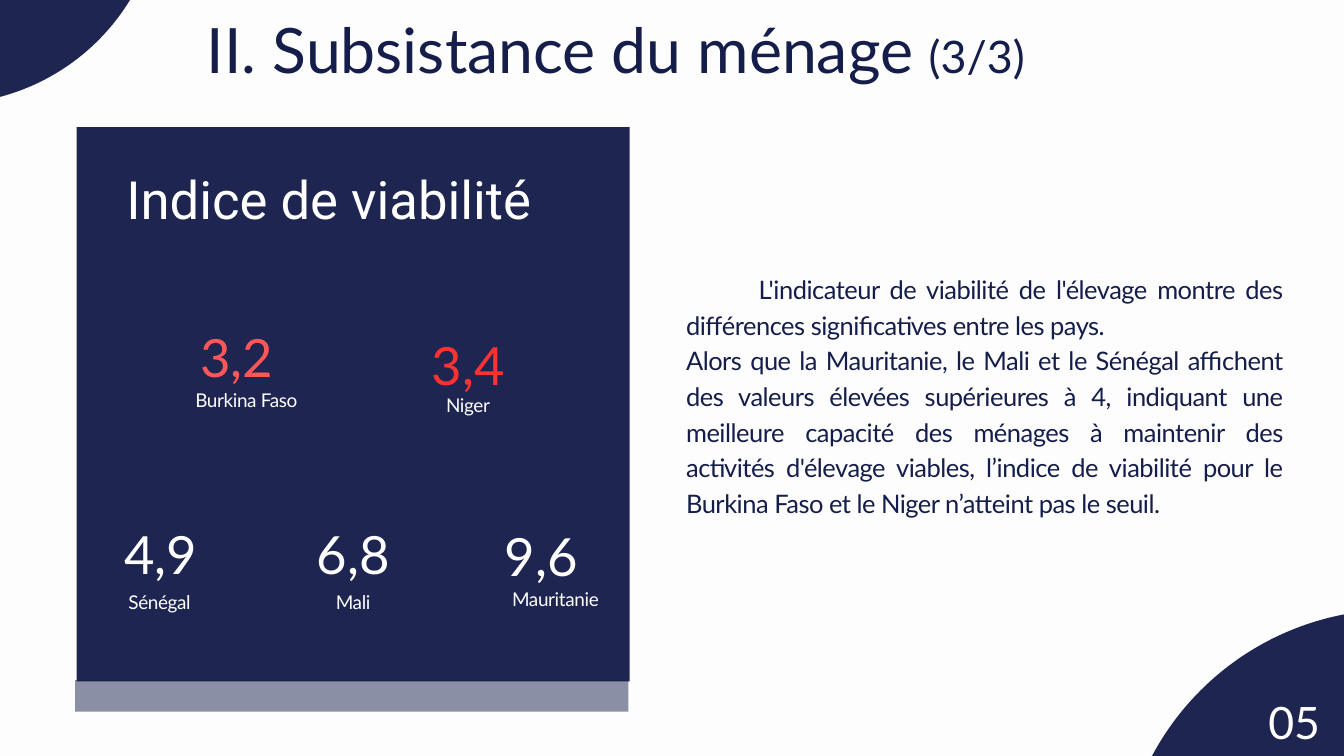
from dataclasses import dataclass

from lxml.etree import SubElement
from pptx import Presentation
from pptx.dml.color import RGBColor
from pptx.enum.shapes import MSO_SHAPE
from pptx.enum.text import MSO_ANCHOR, MSO_AUTO_SIZE, PP_ALIGN
from pptx.oxml.ns import qn
from pptx.util import Inches, Pt


@dataclass(frozen=True)
class Theme:
    background: str = "FDFDFD"
    navy: str = "151D4B"
    white: str = "FFFFFF"
    coral: str = "FF5757"
    red: str = "FF3131"
    text_font: str = "Lato"
    heading_font: str = "Roboto"
    title_size: float = 67
    counter_size: float = 48
    page_size: float = 47.8
    figure_size: float = 56.4
    body_size: float = 27.3
    label_size: float = 20.3
    line_ratio: float = 1.4


THEME = Theme()

INDICATORS = [
    ("3,2", THEME.coral, (2.23, 4.68), "Burkina Faso", (2.37, 5.72)),
    ("3,4", THEME.red, (5.67, 4.79), "Niger", (5.67, 5.8)),
    ("4,9", THEME.white, (1.1, 7.61), "Sénégal", (1.08, 8.73)),
    ("6,8", THEME.white, (3.96, 7.61), "Mali", (3.96, 8.73)),
    ("9,6", THEME.white, (6.76, 7.64), "Mauritanie", (6.97, 8.69)),
]
INDICATOR_WIDTH = 2.59

COMMENTARY = [
    "L'indicateur de viabilité de l'élevage montre des différences "
    "significatives entre les pays.",
    "Alors que la Mauritanie, le Mali et le Sénégal affichent des valeurs "
    "élevées supérieures à 4, indiquant une meilleure capacité des ménages à "
    "maintenir des activités d'élevage viables, l’indice de viabilité pour le "
    "Burkina Faso et le Niger n’atteint pas le seuil.",
]


def place(shape, left, top, width, height):
    shape.left, shape.top = Inches(left), Inches(top)
    shape.width, shape.height = Inches(width), Inches(height)


def prepare_frame(text_frame):
    text_frame.margin_left = text_frame.margin_right = 0
    text_frame.margin_top = text_frame.margin_bottom = 0
    text_frame.word_wrap = True
    text_frame.auto_size = MSO_AUTO_SIZE.NONE
    text_frame.vertical_anchor = MSO_ANCHOR.TOP


def format_run(run, size, color, font=THEME.text_font, tracking=0):
    run.font.name = font
    run.font.size = Pt(size)
    run.font.color.rgb = RGBColor.from_string(color)
    if tracking:
        run.font._element.set("spc", str(round(tracking * 100)))


def format_paragraph(paragraph, size, color, alignment, **run_format):
    paragraph.alignment = alignment
    paragraph.line_spacing = Pt(round(size * THEME.line_ratio, 1))
    paragraph.space_before = paragraph.space_after = Pt(0)
    for run in paragraph.runs:
        format_run(run, size, color, **run_format)


def add_text(slide, text, box, size, color=THEME.white,
             alignment=PP_ALIGN.CENTER, **run_format):
    text_frame = slide.shapes.add_textbox(*map(Inches, box)).text_frame
    prepare_frame(text_frame)
    text_frame.text = text
    format_paragraph(text_frame.paragraphs[0], size, color, alignment, **run_format)


def add_navy_shape(slide, kind, box, opacity):
    shape = slide.shapes.add_shape(kind, *map(Inches, box))
    shape.shadow.inherit = False
    shape.line.fill.background()
    shape.fill.solid()
    shape.fill.fore_color.rgb = RGBColor.from_string(THEME.navy)
    color = shape._element.spPr.find(qn("a:solidFill"))[0]
    SubElement(color, qn("a:alpha")).set("val", str(opacity * 1000))


def fill_title(title):
    place(title, 3.08, -0.02, 15.25, 1.4)
    prepare_frame(title.text_frame)
    title.text_frame.text = "II. Subsistance du ménage "
    paragraph = title.text_frame.paragraphs[0]
    format_paragraph(paragraph, THEME.title_size, THEME.navy, PP_ALIGN.LEFT)
    counter = paragraph.add_run()
    counter.text = "(3/3)"
    format_run(counter, THEME.counter_size, THEME.navy)


def fill_commentary(body):
    place(body, 10.21, 4, 8.88, 4.67)
    prepare_frame(body.text_frame)
    body.text_frame.text = "\n".join(COMMENTARY)
    for paragraph, indent in zip(body.text_frame.paragraphs, (1.08, 0)):
        format_paragraph(paragraph, THEME.body_size, THEME.navy,
                         PP_ALIGN.JUSTIFY, tracking=-0.5)
        properties = paragraph._p.get_or_add_pPr()
        properties.set("marL", "0")
        properties.set("indent", str(Inches(indent)))
        SubElement(properties, qn("a:buNone"))


def add_indicator(slide, figure, color, figure_place, country, country_place):
    add_text(slide, figure, (*figure_place, INDICATOR_WIDTH, 1.06),
             THEME.figure_size, color)
    add_text(slide, country, (*country_place, INDICATOR_WIDTH, 0.38),
             THEME.label_size, tracking=-0.4)


def main():
    presentation = Presentation()
    presentation.slide_width = Inches(20)
    presentation.slide_height = Inches(11.25)
    slide = presentation.slides.add_slide(presentation.slide_layouts[1])
    slide.background.fill.solid()
    slide.background.fill.fore_color.rgb = RGBColor.from_string(THEME.background)

    add_navy_shape(slide, MSO_SHAPE.RECTANGLE, (1.14, 1.89, 8.23, 8.25), 96)
    add_navy_shape(slide, MSO_SHAPE.RECTANGLE, (1.12, 10.12, 8.23, 0.47), 49)
    add_navy_shape(slide, MSO_SHAPE.OVAL, (16.66, 9.07, 8.23, 8.23), 96)
    add_navy_shape(slide, MSO_SHAPE.OVAL, (-4.07, -4.93, 6.48, 6.48), 96)

    fill_title(slide.shapes.title)
    fill_commentary(slide.placeholders[1])
    add_text(slide, "Indice de viabilité", (1.88, 2.32, 6.95, 1.06),
             THEME.figure_size, alignment=PP_ALIGN.LEFT, font=THEME.heading_font)
    for indicator in INDICATORS:
        add_indicator(slide, *indicator)
    add_text(slide, "05", (18.64, 10.21, 1.24, 0.88), THEME.page_size)

    presentation.save("out.pptx")


if __name__ == "__main__":
    main()
